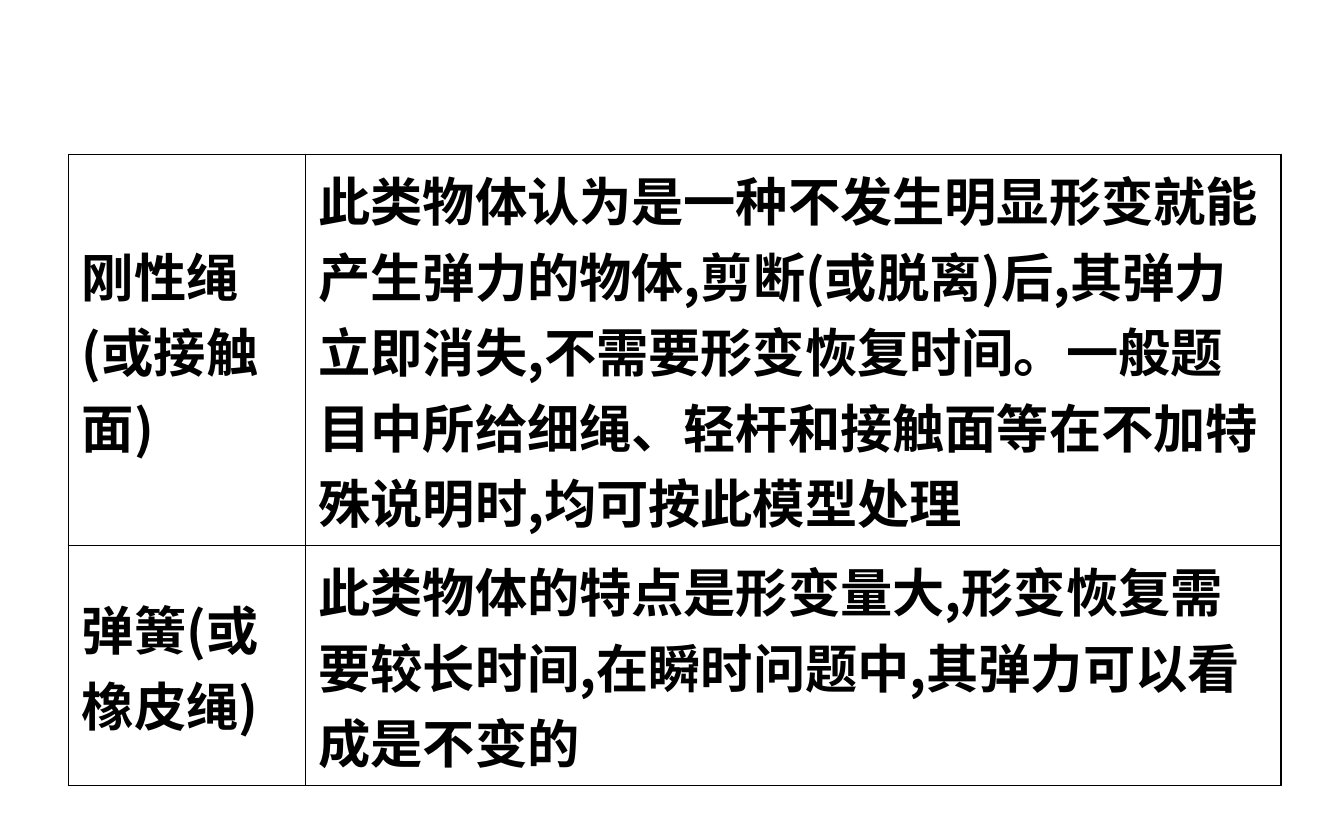
from lxml import etree
from pptx import Presentation
from pptx.dml.color import RGBColor
from pptx.enum.text import MSO_ANCHOR
from pptx.oxml.ns import qn
from pptx.util import Inches, Pt

MIDDLE = MSO_ANCHOR.MIDDLE
FONT = "Noto Sans CJK SC"
BLACK = "000000"
OUTER, INNER = 0.96, 0.45
COLS = [1.76, 7.26]
ROWS = [2.44, 1.5]
STYLE = {"size": Pt(28), "bold": True, "name": FONT}
MODELS = [
    ["刚性绳(或接触面)",
     "此类物体认为是一种不发生明显形变就能产生弹力的物体,剪断(或脱离)后,"
     "其弹力立即消失,不需要形变恢复时间。一般题目中所给细绳、轻杆和接触面等"
     "在不加特殊说明时,均可按此模型处理"],
    ["弹簧(或橡皮绳)",
     "此类物体的特点是形变量大,形变恢复需要较长时间,在瞬时问题中,"
     "其弹力可以看成是不变的"],
]


def color(code):
    return RGBColor.from_string(code)


def write(cell, text):
    cell.vertical_anchor = MIDDLE
    run = cell.text_frame.paragraphs[0].add_run()
    run.text = text
    for key, value in STYLE.items():
        setattr(run.font, key, value)
    run.font.color.rgb = color(BLACK)
    east = etree.SubElement(run.font._element, qn("a:ea"))
    east.set("typeface", FONT)


def border(cell, row, col):
    cell.fill.background()
    edges = {
        "L": col == 0,
        "R": col == len(COLS) - 1,
        "T": row == 0,
        "B": row == len(ROWS) - 1,
    }
    props = cell._tc.get_or_add_tcPr()
    for place, (side, outer) in enumerate(edges.items()):
        line = etree.Element(qn(f"a:ln{side}"))
        line.set("w", str(Pt(OUTER if outer else INNER)))
        fill = etree.SubElement(line, qn("a:solidFill"))
        etree.SubElement(fill, qn("a:srgbClr")).set("val", BLACK)
        props.insert(place, line)


def add_grid(slide):
    frame = slide.shapes.add_table(
        len(ROWS), len(COLS), Inches(0.51), Inches(1.15),
        Inches(sum(COLS)), Inches(sum(ROWS)))
    table = frame.table
    table.first_row = table.horz_banding = False
    for col, width in zip(table.columns, COLS):
        col.width = Inches(width)
    for row, height in zip(table.rows, ROWS):
        row.height = Inches(height)
    for r, texts in enumerate(MODELS):
        for c, text in enumerate(texts):
            cell = table.cell(r, c)
            write(cell, text)
            border(cell, r, c)


def main():
    deck = Presentation()
    deck.slide_width = Inches(10)
    deck.slide_height = Inches(6.25)
    add_grid(deck.slides.add_slide(deck.slide_layouts[6]))
    deck.save("out.pptx")


if __name__ == "__main__":
    main()
